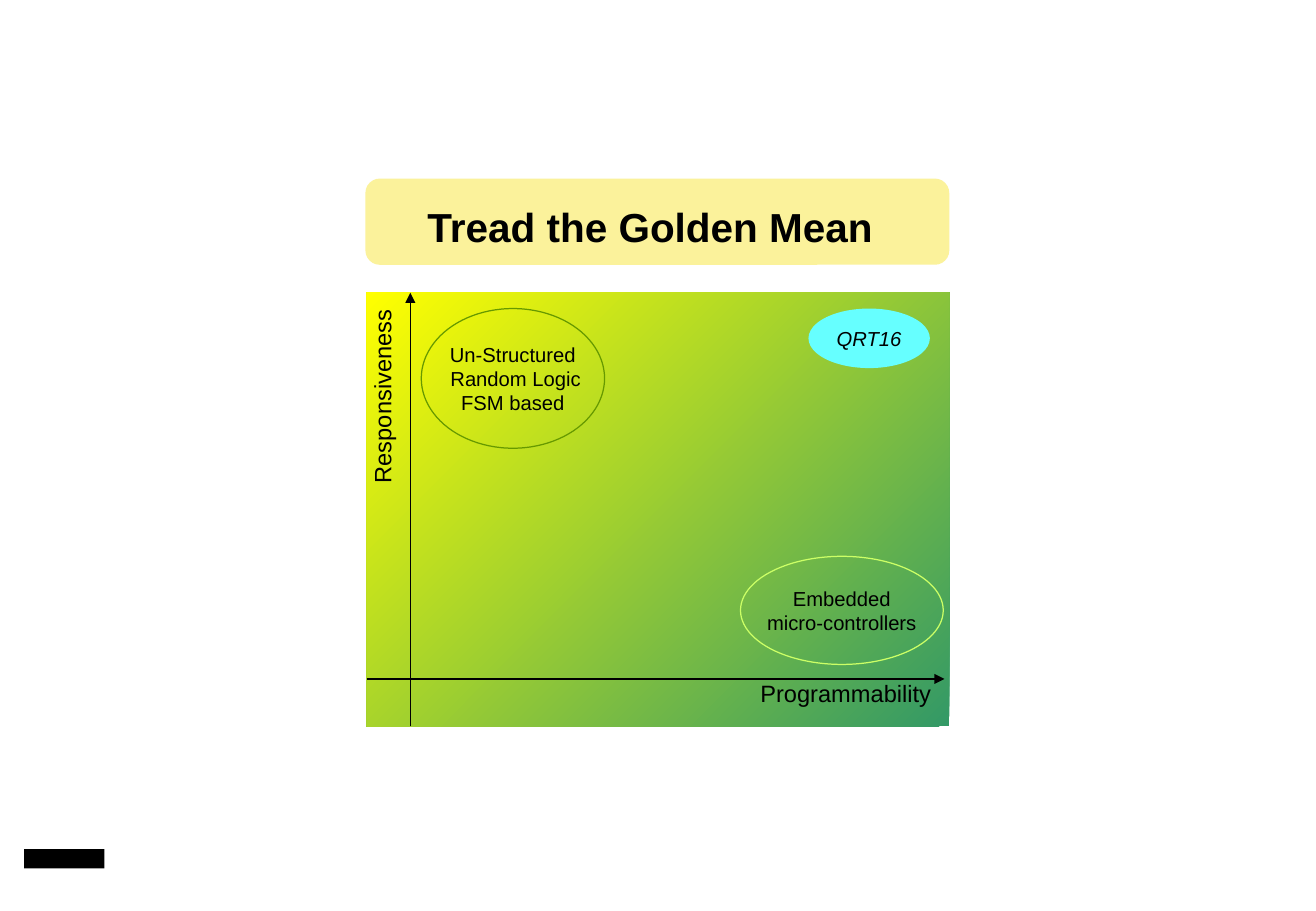
import pptx
import pptx.dml.color
import pptx.enum.shapes
import pptx.enum.text
import pptx.oxml
import pptx.oxml.ns
import pptx.util

Inches = pptx.util.Inches
Pt = pptx.util.Pt
SHAPE = pptx.enum.shapes.MSO_SHAPE
ALIGN = pptx.enum.text.PP_ALIGN
ANCHOR = pptx.enum.text.MSO_ANCHOR


def color(hex_value):
    return pptx.dml.color.RGBColor.from_string(hex_value)


def add_panel(slide, kind, box, fill=None, outline=None):
    panel = slide.shapes.add_shape(kind, *map(Inches, box))
    panel.shadow.inherit = False
    if fill:
        panel.fill.solid()
        panel.fill.fore_color.rgb = color(fill)
    else:
        panel.fill.background()
    if outline:
        panel.line.color.rgb = color(outline)
        panel.line.width = Pt(0.75)
    else:
        panel.line.fill.background()
    return panel


def write(holder, lines, size, align=ALIGN.CENTER, anchor=ANCHOR.MIDDLE,
          wrap=True, bold=False, italic=False):
    """Fill one paragraph, with a line break between the lines."""
    frame = holder.text_frame
    frame.word_wrap = wrap
    frame.vertical_anchor = anchor
    paragraph = frame.paragraphs[0]
    paragraph.alignment = align
    for index, line in enumerate(lines):
        if index:
            paragraph.add_line_break()
        run = paragraph.add_run()
        run.text = line
        run.font.name = "Arial"
        run.font.size = Pt(size)
        run.font.bold = bold
        run.font.italic = italic
        run.font.color.rgb = color("000000")


def add_axis(slide, start, end):
    axis = slide.shapes.add_connector(
        pptx.enum.shapes.MSO_CONNECTOR.STRAIGHT, *map(Inches, start + end))
    axis.line.color.rgb = color("000000")
    axis.line.width = Pt(0.75)
    arrowhead = pptx.oxml.parse_xml(
        f'<a:tailEnd {pptx.oxml.ns.nsdecls("a")} type="triangle"/>')
    axis.line._get_or_add_ln().append(arrowhead)
    axis._element.spPr.append(
        pptx.oxml.parse_xml(f'<a:effectLst {pptx.oxml.ns.nsdecls("a")}/>'))


def add_axis_label(slide, label, box, rotation=0):
    caption = slide.shapes.add_textbox(*map(Inches, box))
    caption.rotation = rotation
    write(caption, [label], 14, ALIGN.RIGHT, ANCHOR.TOP)


def add_title(slide, box):
    left, top, width, height = box
    banner = add_panel(slide, SHAPE.ROUNDED_RECTANGLE, box, "FBF29B")
    banner.adjustments[0] = 0.167
    title = slide.shapes.add_textbox(
        *map(Inches, (left - 2.26, top - 0.23, 9.21, 1.25)))
    write(title, ["Tread the Golden Mean"], 24, bold=True)


def add_tradeoff_chart(slide, box):
    """Draw the plane of responsiveness against programmability."""
    left, top, width, height = box
    plane = add_panel(slide, SHAPE.RECTANGLE, box)
    plane.fill.gradient()
    plane.fill.gradient_angle = 135
    for stop, (position, shade) in zip(
            plane.fill.gradient_stops, [(0, "339966"), (1, "FFFF00")]):
        stop.position = position
        stop.color.rgb = color(shade)

    origin_x, origin_y = left + 0.36, top + 3.18
    add_axis(slide, (left, origin_y), (left + 4.76, origin_y))
    add_axis(slide, (origin_x, top + height), (origin_x, top))
    add_axis_label(slide, "Responsiveness",
                   (left - 1.02, top + 1.02, 2.3, 0.34), 270)
    add_axis_label(slide, "Programmability",
                   (left + 2.71, top + 3.13, 2.04, 0.34))

    designs = [
        (["Embedded", "micro-controllers"],
         (3.08, 2.17, 1.67, 0.89), None, "CCFF66", False),
        (["Un-Structured", " Random Logic", "FSM based"],
         (0.45, 0.13, 1.51, 1.15), None, "669900", False),
        (["QRT16"], (3.64, 0.13, 1, 0.49), "66FFFF", None, True),
    ]
    for lines, (dx, dy, w, h), fill, outline, italic in designs:
        design = add_panel(slide, SHAPE.OVAL, (left + dx, top + dy, w, h),
                           fill, outline)
        write(design, lines, 12, wrap=False, italic=italic)


def main():
    deck = pptx.Presentation()
    deck.slide_width, deck.slide_height = Inches(10.84), Inches(7.5)
    slide = deck.slides.add_slide(deck.slide_layouts[6])
    add_title(slide, (3.01, 1.47, 4.81, 0.71))
    add_tradeoff_chart(slide, (3.02, 2.41, 4.8, 3.57))
    add_panel(slide, SHAPE.RECTANGLE, (0.2, 6.99, 0.66, 0.16), "000000")
    deck.save("out.pptx")


if __name__ == "__main__":
    main()
